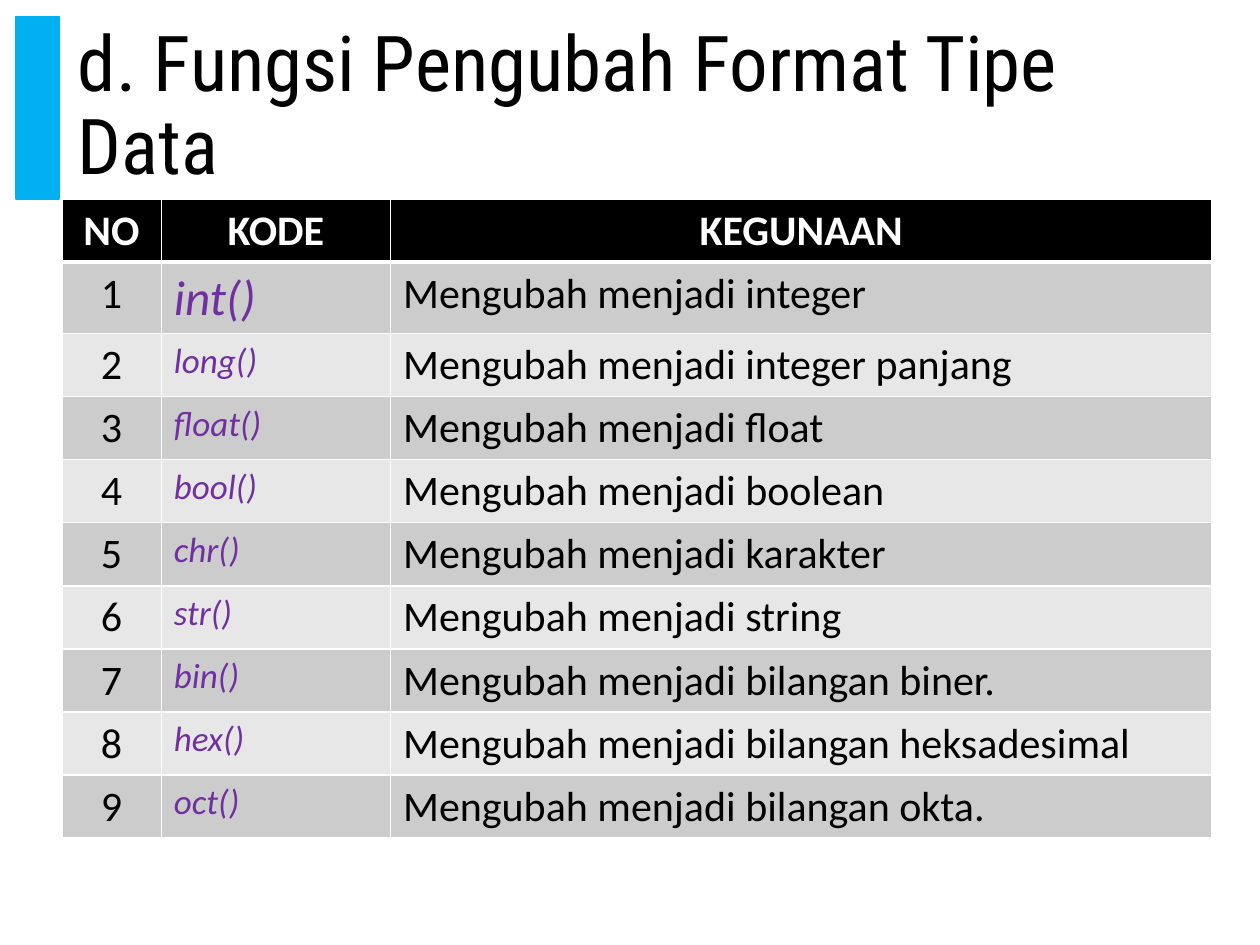
"""Build a slide that tabulates the type conversion functions."""
from dataclasses import dataclass

from lxml import etree
from pptx import Presentation
from pptx.dml.color import RGBColor
from pptx.enum.shapes import MSO_SHAPE
from pptx.enum.text import MSO_ANCHOR, PP_ALIGN
from pptx.oxml.ns import qn
from pptx.util import Inches, Pt

RECTANGLE = MSO_SHAPE.RECTANGLE
MIDDLE = MSO_ANCHOR.MIDDLE
LEFT, CENTER = PP_ALIGN.LEFT, PP_ALIGN.CENTER


@dataclass(frozen=True)
class Theme:
    heading_font: str = "Roboto Condensed"
    body_font: str = "Calibri"
    ink: str = "000000"
    paper: str = "FFFFFF"
    accent: str = "00B0F0"
    code: str = "7030A0"
    bands: tuple = ("CCCCCC", "E7E7E7")
    title_size: int = 44
    body_size: int = 24
    lead_code_size: int = 28
    code_size: int = 20
    rule: int = 1
    header_rule: int = 3


def write(frame, text, *, font, size, color, bold=False, italic=False,
          align=LEFT, spacing=None):
    paragraph = frame.paragraphs[0]
    paragraph.alignment = align
    paragraph.line_spacing = spacing
    run = paragraph.add_run()
    run.text = text
    run.font.name = font
    run.font.size = Pt(size)
    run.font.bold = bold
    run.font.italic = italic
    run.font.color.rgb = RGBColor.from_string(color)


def paint(fill, color):
    fill.solid()
    fill.fore_color.rgb = RGBColor.from_string(color)


class SlideBuilder:
    def __init__(self, slide, theme):
        self.slide = slide
        self.theme = theme

    def bar(self, left, top, width, height):
        bar = self.slide.shapes.add_shape(
            RECTANGLE, Inches(left), Inches(top), Inches(width), Inches(height))
        bar.shadow.inherit = False
        paint(bar.fill, self.theme.accent)
        paint(bar.line.fill, self.theme.accent)
        bar.line.width = Pt(self.theme.rule)

    def title(self, text, left, top, width, height):
        heading = self.slide.shapes.add_textbox(
            Inches(left), Inches(top), Inches(width), Inches(height))
        frame = heading.text_frame
        frame.word_wrap = True
        frame.vertical_anchor = MIDDLE
        write(frame, text, font=self.theme.heading_font,
              size=self.theme.title_size, color=self.theme.ink, spacing=0.9)

    def borders(self, cell, **widths):
        properties = cell._tc.get_or_add_tcPr()
        for side in "LRTB":
            width = Pt(widths.get(side, self.theme.rule))
            line = etree.SubElement(properties, qn(f"a:ln{side}"), w=str(width))
            solid = etree.SubElement(line, qn("a:solidFill"))
            etree.SubElement(solid, qn("a:srgbClr"), val=self.theme.paper)

    def cell(self, cell, text, fill, edges, **style):
        self.borders(cell, **edges)
        paint(cell.fill, fill)
        write(cell.text_frame, text, font=self.theme.body_font, **style)

    def table(self, headings, entries, left, top, widths, height, row_height):
        theme = self.theme
        holder = self.slide.shapes.add_table(
            len(entries) + 1, len(headings), Inches(left), Inches(top),
            Inches(sum(widths)), Inches(height))
        grid = holder.table
        for column, width in zip(grid.columns, widths):
            column.width = Inches(width)
        for row in grid.rows:
            row.height = Inches(row_height)
        holder.height = Inches(height)

        for index, heading in enumerate(headings):
            self.cell(grid.cell(0, index), heading, theme.ink,
                      {"B": theme.header_rule}, size=theme.body_size,
                      color=theme.paper, bold=True, align=CENTER)

        for number, (code, purpose) in enumerate(entries, 1):
            band = theme.bands[(number - 1) % 2]
            edges = {"T": theme.header_rule} if number == 1 else {}
            code_size = theme.lead_code_size if number == 1 else theme.code_size
            plain = {"size": theme.body_size, "color": theme.ink}
            self.cell(grid.cell(number, 0), str(number), band, edges,
                      align=CENTER, **plain)
            self.cell(grid.cell(number, 1), code, band, edges,
                      size=code_size, color=theme.code, italic=True)
            self.cell(grid.cell(number, 2), f"Mengubah menjadi {purpose}",
                      band, edges, **plain)


HEADINGS = ("NO", "KODE", "KEGUNAAN")
FUNCTIONS = (
    ("int()", "integer"),
    ("long()", "integer panjang"),
    ("float()", "float"),
    ("bool()", "boolean"),
    ("chr()", "karakter"),
    ("str()", "string"),
    ("bin()", "bilangan biner."),
    ("hex()", "bilangan heksadesimal"),
    ("oct()", "bilangan okta."),
)


def main():
    deck = Presentation()
    deck.slide_width, deck.slide_height = Inches(10), Inches(7.5)
    builder = SlideBuilder(deck.slides.add_slide(deck.slide_layouts[6]), Theme())
    builder.bar(0.13, 0.13, 0.34, 1.45)
    builder.title("d. Fungsi Pengubah Format Tipe Data", 0.52, 0.13, 9.1, 1.45)
    builder.table(HEADINGS, FUNCTIONS, 0.49, 1.58, (0.79, 1.82, 6.52), 5.07, 0.45)
    deck.save("out.pptx")


main()
